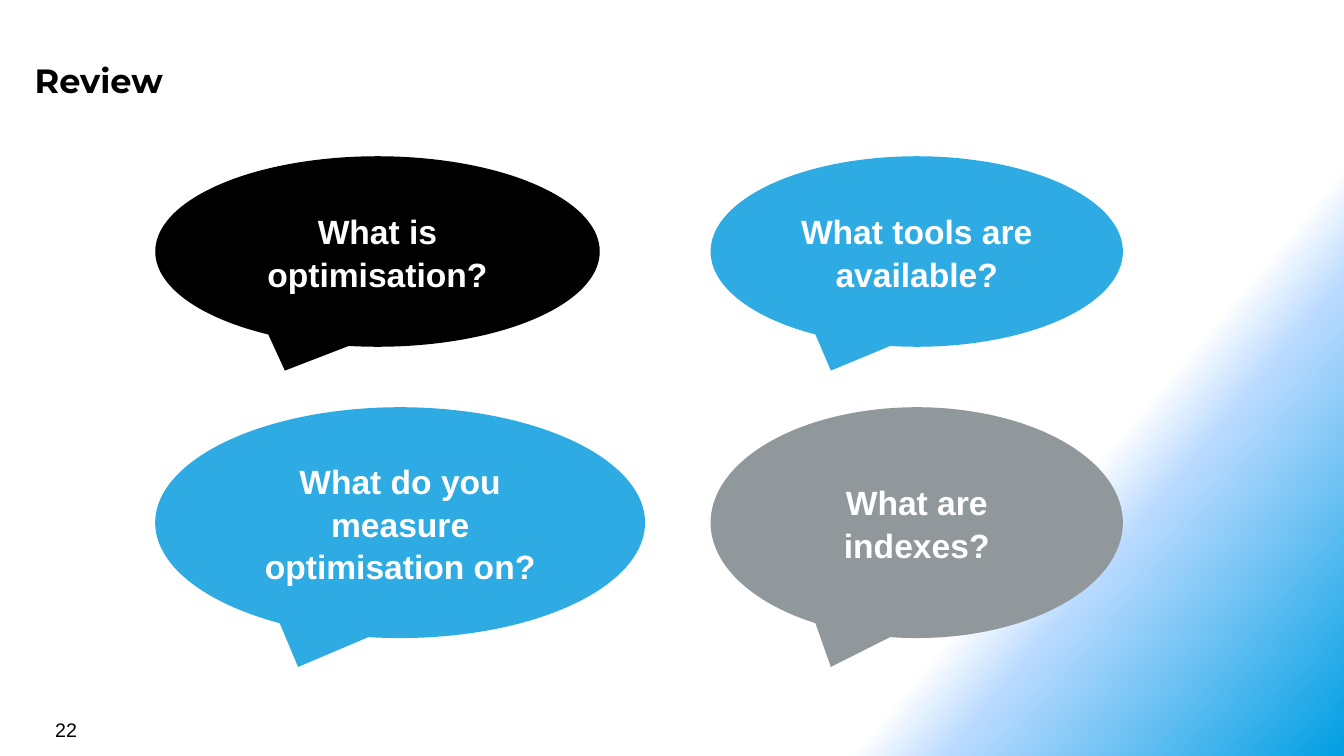
import pptx
import pptx.util
import pptx.oxml
import pptx.oxml.ns
import pptx.dml.color
import pptx.enum.shapes
import pptx.enum.text
from dataclasses import dataclass

Pt = pptx.util.Pt
RGB = pptx.dml.color.RGBColor.from_string
ALIGN = pptx.enum.text.PP_ALIGN
ANCHOR = pptx.enum.text.MSO_ANCHOR


@dataclass(frozen=True)
class Theme:
    black: str = "000000"
    white: str = "FFFFFF"
    blue: str = "2EABE2"
    grey: str = "91989C"
    gradient: tuple = ((75, "FFFFFF"), (80, "B9DAFF"), (100, "009FE3"))
    gradient_angle: int = 40
    title_font: str = "Montserrat"
    body_font: str = "Arial"
    large: int = 24
    small: int = 14


THEME = Theme()

# Left edges of the columns; top and height of the rows
COLUMNS = (110.9, 507.6)
ROWS = ((111.6, 136.1), (290.9, 164.9))

# Column, row, width, fill, question
QUESTIONS = (
    (0, 0, 317.5, THEME.black, "What is optimisation?"),
    (0, 1, 349.9, THEME.blue, "What do you measure optimisation on?"),
    (1, 0, 294.5, THEME.blue, "What tools are available?"),
    (1, 1, 294.5, THEME.grey, "What are indexes?"),
)


def style(para, font, size, color, bold=False, align=ALIGN.LEFT):
    para.alignment = align
    para.font.name = font
    para.font.size = Pt(size)
    para.font.bold = bold
    para.font.color.rgb = RGB(color)


def paint_background(page):
    """Fill the page with a diagonal gradient that colours its lower right corner."""
    fill = page.background.fill
    fill.gradient()
    fill.gradient_angle = 360 - THEME.gradient_angle
    stops = page.element.find(".//" + pptx.oxml.ns.qn("a:gsLst"))
    for stop in list(stops):
        stops.remove(stop)
    for position, color in THEME.gradient:
        stops.append(pptx.oxml.parse_xml(
            f'<a:gs {pptx.oxml.ns.nsdecls("a")} pos="{position * 1000}">'
            f'<a:srgbClr val="{color}"/></a:gs>'))


def add_title(page, box, text):
    title = page.shapes.title
    title.left, title.top, title.width, title.height = map(Pt, box)
    frame = title.text_frame
    frame.auto_size = pptx.enum.text.MSO_AUTO_SIZE.NONE
    frame.vertical_anchor = ANCHOR.TOP
    frame.margin_left = frame.margin_right = Pt(6)
    frame.margin_top = frame.margin_bottom = Pt(6)
    frame.text = text
    style(frame.paragraphs[0], THEME.title_font, THEME.large, THEME.black, bold=True)


def add_bubble(page, box, color, question):
    kind = pptx.enum.shapes.MSO_SHAPE.OVAL_CALLOUT
    bubble = page.shapes.add_shape(kind, *map(Pt, box))
    bubble.shadow.inherit = False
    bubble.fill.solid()
    bubble.fill.fore_color.rgb = RGB(color)
    bubble.line.fill.background()
    frame = bubble.text_frame
    frame.word_wrap = True
    frame.vertical_anchor = ANCHOR.MIDDLE
    frame.text = question
    para = frame.paragraphs[0]
    para.line_spacing = 1.05
    style(para, THEME.body_font, THEME.large, THEME.white, bold=True, align=ALIGN.CENTER)


def add_page_number(page, box, number):
    frame = page.shapes.add_textbox(*map(Pt, box)).text_frame
    frame.word_wrap = True
    frame.text = number
    style(frame.paragraphs[0], THEME.body_font, THEME.small, THEME.black)


def build_review(deck):
    page = deck.slides.add_slide(deck.slide_layouts[5])
    paint_background(page)
    add_title(page, (18.7, 36.7, 882.7, 39.6), "Review")
    for column, row, width, color, question in QUESTIONS:
        top, height = ROWS[row]
        add_bubble(page, (COLUMNS[column], top, width, height), color, question)
    add_page_number(page, (32.4, 509, 224, 23.8), "22")


def main():
    deck = pptx.Presentation()
    deck.slide_width, deck.slide_height = Pt(960), Pt(540)
    build_review(deck)
    deck.save("out.pptx")


if __name__ == "__main__":
    main()
